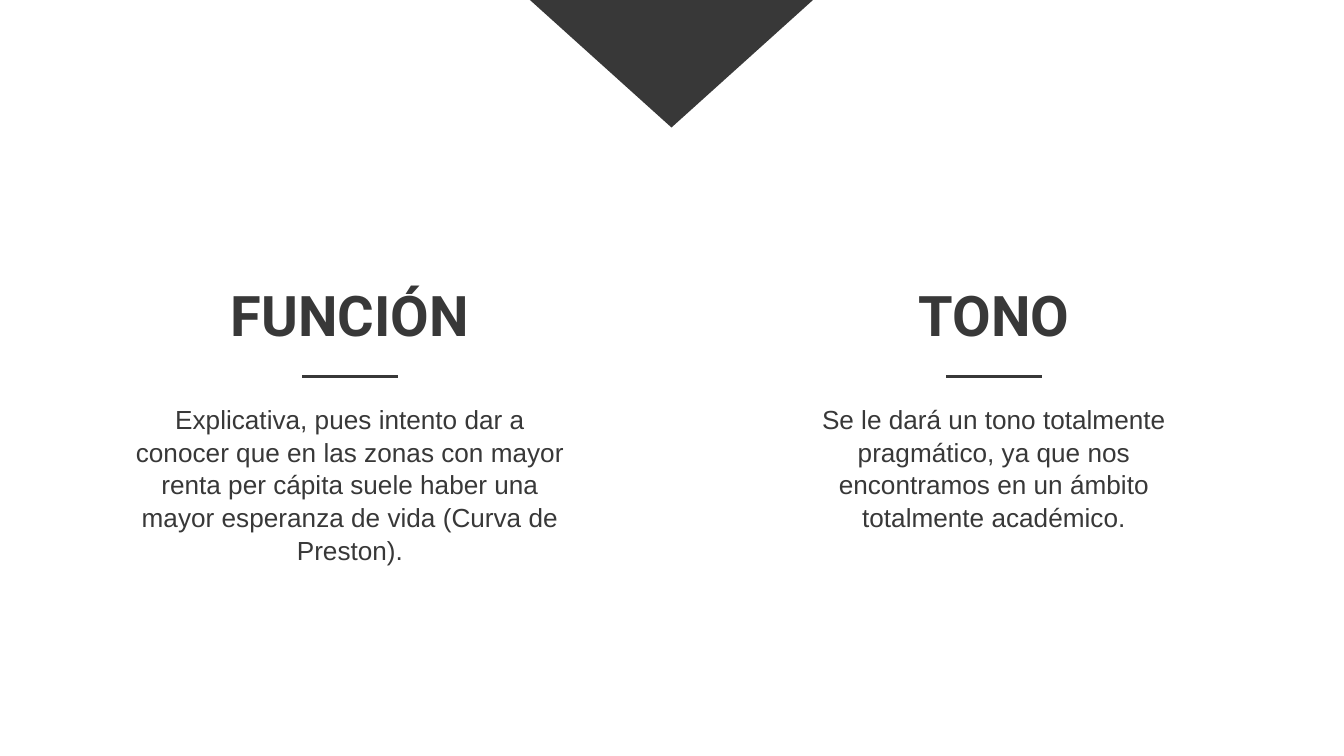
from lxml.etree import SubElement
from pptx import Presentation
from pptx.dml.color import RGBColor
from pptx.enum.shapes import MSO_CONNECTOR, MSO_SHAPE
from pptx.enum.text import MSO_ANCHOR, MSO_AUTO_SIZE, PP_ALIGN
from pptx.oxml.ns import qn
from pptx.util import Cm, Pt

DARK = "383838"
PAGE_WIDTH, PAGE_HEIGHT = 25.4, 14.29
HEADING = {"name": "Roboto", "size": Pt(30), "bold": True}
BODY = {"name": "Arial", "size": Pt(14), "bold": False}
COLUMNS = [
    ("FUNCIÓN", 6.05,
     "Explicativa, pues intento dar a conocer que en las zonas con mayor "
     "renta per cápita suele haber una mayor esperanza de vida (Curva de Preston)."),
    ("TONO", 2.3,
     "Se le dará un tono totalmente pragmático, ya que nos encontramos "
     "en un ámbito totalmente académico."),
]


def colour(value):
    return RGBColor.from_string(value)


def set_text(box, text, font, anchor, spacing):
    frame = box.text_frame
    frame_format = {
        "word_wrap": True, "auto_size": MSO_AUTO_SIZE.NONE, "vertical_anchor": anchor,
        "margin_left": Cm(0.25), "margin_right": Cm(0.25),
        "margin_top": Cm(0.25), "margin_bottom": Cm(0.25),
    }
    for name, value in frame_format.items():
        setattr(frame, name, value)
    para = frame.paragraphs[0]
    para.alignment = PP_ALIGN.CENTER
    para.line_spacing = spacing
    span = para.add_run()
    span.text = text
    for name, value in font.items():
        setattr(span.font, name, value)
    span.font.color.rgb = colour(DARK)


def add_top_triangle(page, left, top, width, height):
    triangle = page.shapes.add_shape(
        MSO_SHAPE.ISOSCELES_TRIANGLE, Cm(left), Cm(top), Cm(width), Cm(height))
    triangle.rotation = 180
    triangle.shadow.inherit = False
    triangle.fill.solid()
    triangle.fill.fore_color.rgb = colour(DARK)
    triangle.line.fill.background()


def add_rule(page, left, top, width):
    rule = page.shapes.add_connector(
        MSO_CONNECTOR.STRAIGHT, Cm(left), Cm(top), Cm(left + width), Cm(top))
    rule.line.color.rgb = colour(DARK)
    rule.line.width = Pt(1.5)
    SubElement(rule._element.spPr, qn("a:effectLst"))


def add_column(page, left, top, width, heading, heading_width, text, title=None):
    center = left + width / 2
    place = {"left": Cm(center - heading_width / 2), "top": Cm(top),
             "width": Cm(heading_width), "height": Cm(0.86)}
    heading_box = title or page.shapes.add_textbox(*place.values())
    for name, value in place.items():
        setattr(heading_box, name, value)
    set_text(heading_box, heading, HEADING, MSO_ANCHOR.MIDDLE, 1)
    add_rule(page, center - 0.9, top + 1.6, 1.8)
    body_box = page.shapes.add_textbox(Cm(left), Cm(top + 1.83), Cm(width), Cm(2.74))
    set_text(body_box, text, BODY, MSO_ANCHOR.TOP, 1.05)


def main():
    deck = Presentation()
    deck.slide_width, deck.slide_height = Cm(PAGE_WIDTH), Cm(PAGE_HEIGHT)
    page = deck.slides.add_slide(deck.slide_layouts[5])
    add_top_triangle(page, 9.96, -0.05, 5.46, 2.46)
    margin, width = 2.31, 8.61
    lefts = [margin, PAGE_WIDTH - margin - width]
    titles = [page.shapes.title, None]
    for left, title, (heading, heading_width, text) in zip(lefts, titles, COLUMNS):
        add_column(page, left, 5.51, width, heading, max(heading_width, 4.6), text, title)
    deck.save("out.pptx")


if __name__ == "__main__":
    main()
